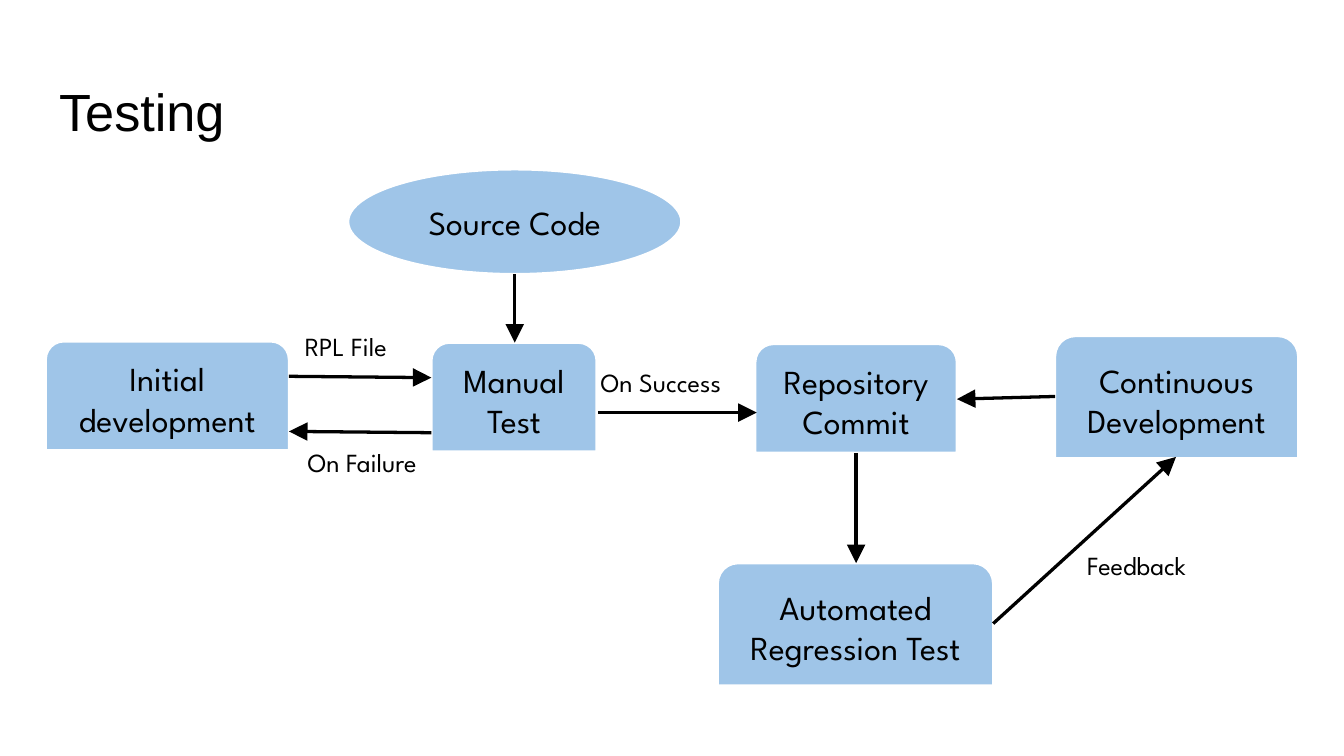
from pptx import Presentation
from pptx.dml.color import RGBColor
from pptx.enum.shapes import MSO_CONNECTOR, MSO_SHAPE
from pptx.enum.text import MSO_ANCHOR, PP_ALIGN
from pptx.oxml.ns import qn
from pptx.util import Inches, Pt
from lxml.etree import SubElement

COLORS = {"text": "000000", "box": "9FC5E8", "border": "FFFFFF", "arrow": "000000"}


def write(tf, text, size=18, font="League Spartan", align=PP_ALIGN.LEFT,
          anchor=MSO_ANCHOR.TOP, inset=0.05):
    """Fill a text frame with one formatted paragraph."""
    tf.word_wrap = True
    tf.vertical_anchor = anchor
    tf.margin_left = tf.margin_right = Inches(0.1)
    tf.margin_top = tf.margin_bottom = Inches(inset)
    p = tf.paragraphs[0]
    p.alignment = align
    r = p.add_run()
    r.text = text
    r.font.size = Pt(size)
    r.font.name = font
    r.font.color.rgb = RGBColor.from_string(COLORS["text"])


class FlowSlide:
    """Draws the styled elements of a flow chart on one slide."""

    def __init__(self, prs):
        self.slide = prs.slides.add_slide(prs.slide_layouts[5])
        self.shapes = self.slide.shapes

    def title(self, text, *box):
        """Place and format the title placeholder."""
        sp = self.shapes.title
        sp.left, sp.top, sp.width, sp.height = map(Inches, box)
        write(sp.text_frame, text, size=28, font="Arial", inset=0.1)

    def node(self, text, *box, kind=MSO_SHAPE.ROUND_2_SAME_RECTANGLE):
        """Add a filled step with centred text."""
        sp = self.shapes.add_shape(kind, *map(Inches, box))
        sp.shadow.inherit = False
        sp.fill.solid()
        sp.fill.fore_color.rgb = RGBColor.from_string(COLORS["box"])
        sp.line.color.rgb = RGBColor.from_string(COLORS["border"])
        sp.line.width = Pt(1.25)
        write(sp.text_frame, text, align=PP_ALIGN.CENTER, anchor=MSO_ANCHOR.MIDDLE)

    def label(self, text, left, top, width):
        """Add a caption beside an arrow."""
        sp = self.shapes.add_textbox(*map(Inches, (left, top, width, 0.33)))
        write(sp.text_frame, text, size=14)

    def arrow(self, *ends):
        """Add a straight line with a large arrowhead at its end."""
        line = self.shapes.add_connector(MSO_CONNECTOR.STRAIGHT, *map(Inches, ends))
        line.line.color.rgb = RGBColor.from_string(COLORS["arrow"])
        line.line.width = Pt(1.75)
        props = line._element.spPr
        SubElement(props.find(qn("a:ln")), qn("a:tailEnd"),
                   type="triangle", w="lg", len="lg")
        SubElement(props, qn("a:effectLst"))


def main():
    """Build the testing flow slide."""
    prs = Presentation()
    prs.slide_width = Inches(10)
    prs.slide_height = prs.slide_width * 9 // 16
    flow = FlowSlide(prs)
    flow.title("Testing", 0.34, 0.49, 9.32, 0.63)

    for node in (
        ("Initial development", 0.34, 2.54, 1.81, 0.81),
        ("Manual Test", 3.21, 2.55, 1.23, 0.81),
        ("Repository Commit", 5.62, 2.56, 1.5, 0.81),
        ("Automated Regression Test", 5.34, 4.19, 2.05, 0.91),
        ("Continuous Development", 7.85, 2.5, 1.81, 0.91),
    ):
        flow.node(*node)
    flow.node("Source Code", 2.59, 1.26, 2.48, 0.78, kind=MSO_SHAPE.OVAL)

    for label in (
        ("RPL File", 2.17, 2.41, 1.03),
        ("On Failure", 2.19, 3.27, 1.12),
        ("On Success", 4.37, 2.68, 1.32),
        ("Feedback", 7.99, 4.04, 1.11),
    ):
        flow.label(*label)

    for ends in (
        (2.15, 2.8, 3.21, 2.81),
        (3.21, 3.22, 2.15, 3.21),
        (3.83, 2.04, 3.83, 2.55),
        (4.45, 3.07, 5.63, 3.07),
        (6.37, 3.37, 6.37, 4.19),
        (7.39, 4.64, 8.75, 3.4),
        (7.85, 2.95, 7.12, 2.97),
    ):
        flow.arrow(*ends)

    prs.save("out.pptx")


if __name__ == "__main__":
    main()
